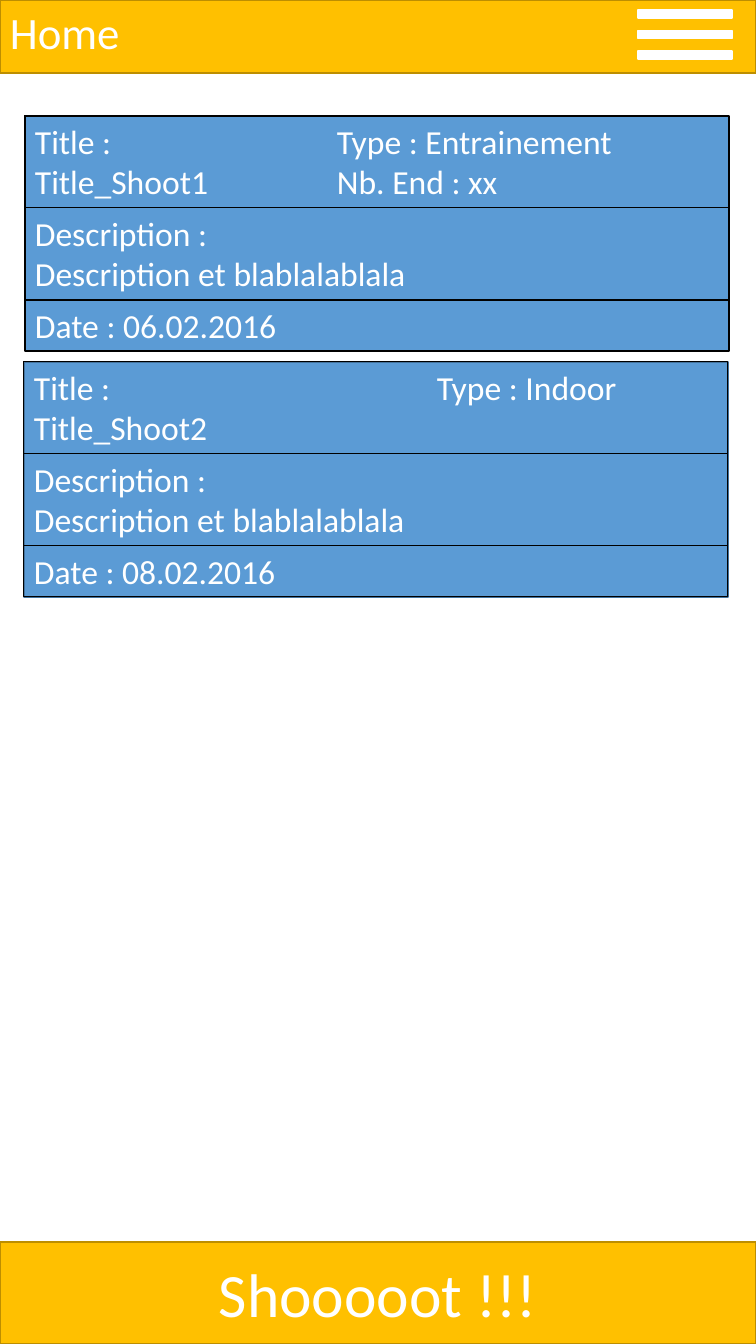
from pptx import Presentation
from pptx.dml.color import RGBColor
from pptx.enum.shapes import MSO_SHAPE
from pptx.enum.text import MSO_ANCHOR, PP_ALIGN
from pptx.util import Emu, Pt
from lxml.etree import SubElement
from pptx.oxml.ns import qn

SCALE = 914400 / 100.8
WIDTH, HEIGHT = 756, 1344
COLORS = {
    "bar": "FFC000", "bar_line": "BD8E00", "card": "5B9BD5",
    "card_line": "43739E", "black": "000000", "white": "FFFFFF",
}


def pixels(length):
    """Turn pixels into EMU."""
    return Emu(round(length * SCALE))


def color(name):
    """Look up a named colour."""
    return RGBColor.from_string(COLORS[name])


def add_box(slide, box, fill, line, line_width=1):
    """Add a rectangle; a fill of None leaves it see-through."""
    shape = slide.shapes.add_shape(MSO_SHAPE.RECTANGLE, *map(pixels, box))
    shape.shadow.inherit = False
    if fill:
        shape.fill.solid()
        shape.fill.fore_color.rgb = color(fill)
    else:
        shape.fill.background()
    shape.line.color.rgb = color(line)
    shape.line.width = Pt(line_width)
    return shape


def write(shape, lines, size, align=PP_ALIGN.LEFT, anchor=MSO_ANCHOR.TOP, tab=None):
    """Write white lines of text, with an optional tab stop in pixels."""
    frame = shape.text_frame
    frame.word_wrap = True
    frame.vertical_anchor = anchor
    frame.text = "\n".join(lines)
    for paragraph in frame.paragraphs:
        paragraph.alignment = align
        if tab:
            stops = SubElement(paragraph._p.get_or_add_pPr(), qn("a:tabLst"))
            SubElement(stops, qn("a:tab"), pos=str(pixels(tab)), algn="l")
        paragraph.font.name = "Calibri"
        paragraph.font.size = Pt(size)
        paragraph.font.color.rgb = color("white")


def add_header(slide, box, title):
    """Draw the top bar with its title and menu icon."""
    left, top, width, height = box
    add_box(slide, box, "bar", "bar_line")
    for index in range(3):
        bar = (left + width - 118, top + 10 + 20.5 * index, 94, 8)
        add_box(slide, bar, "white", "white")
    label = slide.shapes.add_textbox(*map(pixels, (left, top, 486, 64)))
    write(label, [title], 32)


def add_footer(slide, box, label):
    """Draw the bottom button."""
    button = add_box(slide, box, "bar", "bar_line")
    write(button, [label], 44, PP_ALIGN.CENTER, MSO_ANCHOR.MIDDLE)


def add_card(slide, box, line, title_lines, tab, date):
    """Draw a shoot card: a panel under title, description and date rows."""
    left, top, width, height = box
    add_box(slide, box, "card", line)
    rows = [
        (92, title_lines),
        (92, ["Description : ", "Description et blablalablala"]),
        (51, [f"Date : {date}"]),
    ]
    for row_height, lines in rows:
        row = add_box(slide, (left, top, width, row_height), None, "black", 0.75)
        write(row, lines, 24, tab=tab)
        top += row_height


def build_home(slide):
    """Place every region of the home screen."""
    add_header(slide, (0, 0, WIDTH, 73), "Home")
    add_footer(slide, (0, 1242, WIDTH, 102), "Shooooot !!!")
    add_card(slide, (25, 116, 704, 235), "black",
             ["Title : \tType : Entrainement", "Title_Shoot1\tNb. End : xx"],
             302, "06.02.2016")
    add_card(slide, (24, 362, 704, 235), "card_line",
             ["Title : \tType : Indoor ", "Title_Shoot2"],
             403, "08.02.2016")


presentation = Presentation()
presentation.slide_width = pixels(WIDTH)
presentation.slide_height = pixels(HEIGHT)
build_home(presentation.slides.add_slide(presentation.slide_layouts[6]))
presentation.save("out.pptx")
